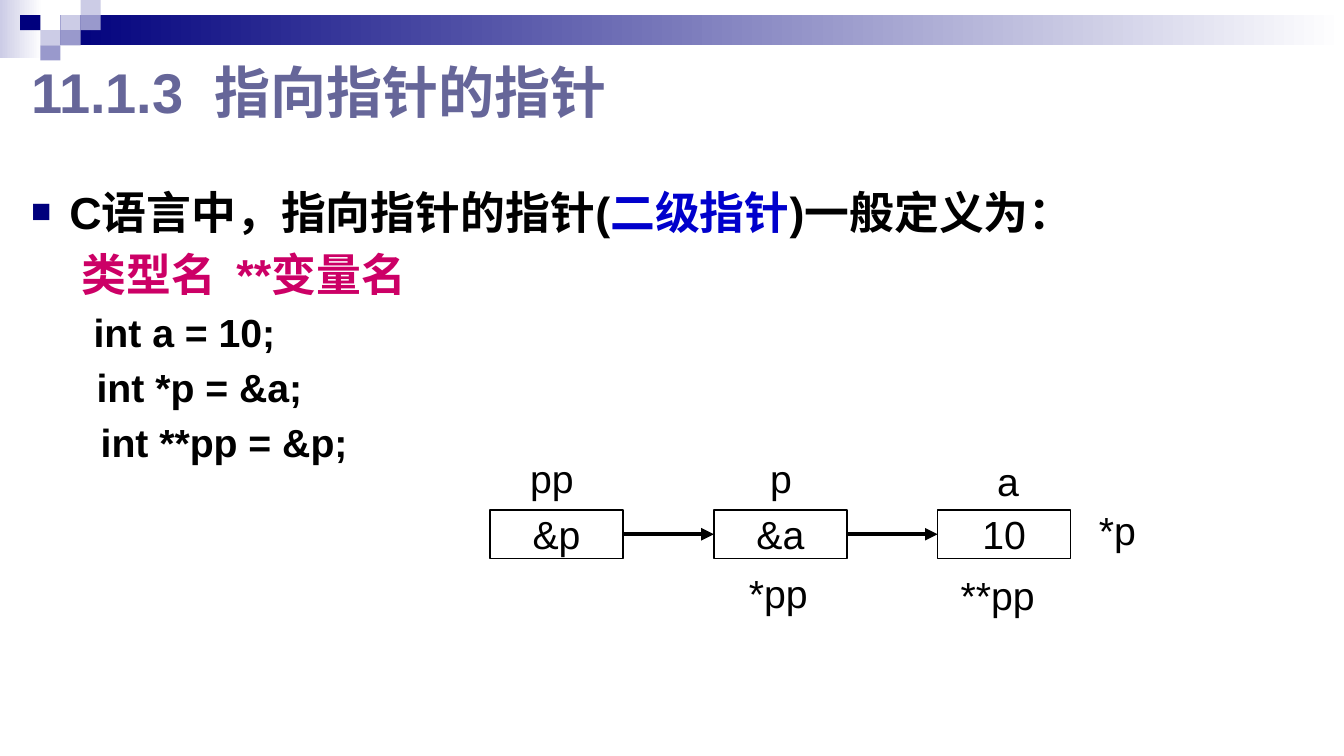
from lxml import etree
from pptx import Presentation
from pptx import util as u
from pptx.dml import color
from pptx.enum import shapes, text
from pptx.oxml import ns

WIDTH, HEIGHT = 13.33, 7.5
FONT = "Arial"
BLACK, NAVY, LILAC, VIOLET = "000000", "00007D", "CCCCE6", "9999CC"
TITLE = "11.1.3  指向指针的指针"
BODY = [
    {"spans": [("C语言中，指向指针的指针(", BLACK), ("二级指针", "0000CC"), (")一般定义为：", BLACK)],
     "size": 32, "margin": 0.38, "bullet": "■"},
    {"spans": [("类型名  **变量名", "CC0066")], "size": 32, "margin": 0.5},
    {"spans": [("int a = 10;", BLACK)], "size": 28, "margin": 0.62},
    {"spans": [("int *p = &a;", BLACK)], "size": 28, "margin": 0.65},
    {"spans": [("int **pp = &p;", BLACK)], "size": 28, "margin": 0.69},
]
BANDS = [((0, 0, 0.42, 0.58), LILAC), ((0.6, 0.15, 12.73, 0.3), NAVY)]
TILE_WIDTH, TILE_HEIGHT = 0.2, 0.15
TILES = [(3, 1, LILAC), (4, 0, LILAC), (4, 1, VIOLET), (2, 2, LILAC),
         (1, 1, NAVY), (3, 2, VIOLET), (2, 3, VIOLET)]
CELLS = ["&p", "&a", "10"]
CELL_LEFT, CELL_TOP, CELL_STEP, CELL_WIDTH, CELL_HEIGHT = 4.86, 5.06, 2.22, 1.32, 0.48
LABELS = [("pp", 5.16, 4.46, 0.63), ("p", 7.54, 4.46, 0.42), ("a", 9.79, 4.49, 0.42),
          ("*p", 10.8, 4.97, 0.57), ("*pp", 7.33, 5.6, 0.79), ("**pp", 9.43, 5.62, 0.94)]
LABEL_HEIGHT = 0.57

deck = Presentation()
deck.slide_width, deck.slide_height = u.Inches(WIDTH), u.Inches(HEIGHT)
page = deck.slides.add_slide(deck.slide_layouts[6])


def rgb(value):
    return color.RGBColor.from_string(value)


def inches(*lengths):
    return [u.Inches(length) for length in lengths]


def add_xml(parent, tag, **attributes):
    return etree.SubElement(parent, ns.qn(tag), attributes)


def write(para, content, size=28, ink=BLACK, bold=False):
    span = para.add_run()
    span.text = content
    span.font.name, span.font.size, span.font.bold = FONT, u.Pt(size), bold
    span.font.color.rgb = rgb(ink)


def add_text(area, wrap=True, anchor=text.MSO_ANCHOR.TOP):
    frame = page.shapes.add_textbox(*inches(*area)).text_frame
    frame.word_wrap, frame.vertical_anchor = wrap, anchor
    return frame


def add_rect(area):
    box = page.shapes.add_shape(shapes.MSO_SHAPE.RECTANGLE, *inches(*area))
    box.shadow.inherit = False
    return box


def style_body(para, margin, bullet=None):
    properties = para._p.get_or_add_pPr()
    hanging = 0.38 if bullet else 0
    properties.set("marL", str(u.Inches(margin)))
    properties.set("indent", str(-u.Inches(hanging)))
    add_xml(add_xml(properties, "a:spcBef"), "a:spcPct", val="20000")
    if bullet:
        add_xml(add_xml(properties, "a:buClr"), "a:srgbClr", val=NAVY)
        add_xml(properties, "a:buSzPct", val="75000")
        add_xml(properties, "a:buFont", typeface=FONT)
        add_xml(properties, "a:buChar", char=bullet)
    else:
        add_xml(properties, "a:buNone")


def add_arrow(start, end, level):
    arrow = page.shapes.add_connector(
        shapes.MSO_CONNECTOR.STRAIGHT, *inches(start, level, end, level))
    arrow.line.color.rgb, arrow.line.width = rgb(BLACK), u.Pt(3)
    add_xml(arrow.line._get_or_add_ln(), "a:tailEnd", type="triangle")
    add_xml(arrow._element.spPr, "a:effectLst")


for area, tint in BANDS:
    band = add_rect(area)
    band.line.fill.background()
    band.fill.gradient()
    band.fill.gradient_angle = 0
    for stop, position, shade in zip(band.fill.gradient_stops, (0, 1), (tint, "FFFFFF")):
        stop.position, stop.color.rgb = position, rgb(shade)

for column, row, tint in TILES:
    tile = add_rect((column * TILE_WIDTH, row * TILE_HEIGHT, TILE_WIDTH, TILE_HEIGHT))
    tile.line.fill.background()
    tile.fill.solid()
    tile.fill.fore_color.rgb = rgb(tint)

title = add_text((0.21, 0.5, 9.06, 0.81), anchor=text.MSO_ANCHOR.MIDDLE)
write(title.paragraphs[0], TITLE, size=40, ink="666699", bold=True)

body = add_text((0.21, 1.78, 10.71, 4.88))
for index, item in enumerate(BODY):
    para = body.add_paragraph() if index else body.paragraphs[0]
    style_body(para, item["margin"], item.get("bullet"))
    for content, ink in item["spans"]:
        write(para, content, size=item["size"], ink=ink, bold=True)

for index, content in enumerate(CELLS):
    left = CELL_LEFT + index * CELL_STEP
    cell = add_rect((left, CELL_TOP, CELL_WIDTH, CELL_HEIGHT))
    cell.fill.background()
    cell.line.color.rgb, cell.line.width = rgb(BLACK), u.Pt(1)
    cell.text_frame.word_wrap = False
    cell.text_frame.vertical_anchor = text.MSO_ANCHOR.MIDDLE
    para = cell.text_frame.paragraphs[0]
    para.alignment = text.PP_ALIGN.CENTER
    write(para, content)
    if index:
        add_arrow(left - CELL_STEP + CELL_WIDTH, left, CELL_TOP + CELL_HEIGHT / 2)

for content, left, top, width in LABELS:
    label = add_text((left, top, width, LABEL_HEIGHT), wrap=False)
    label.auto_size = text.MSO_AUTO_SIZE.SHAPE_TO_FIT_TEXT
    write(label.paragraphs[0], content)

deck.save("out.pptx")
